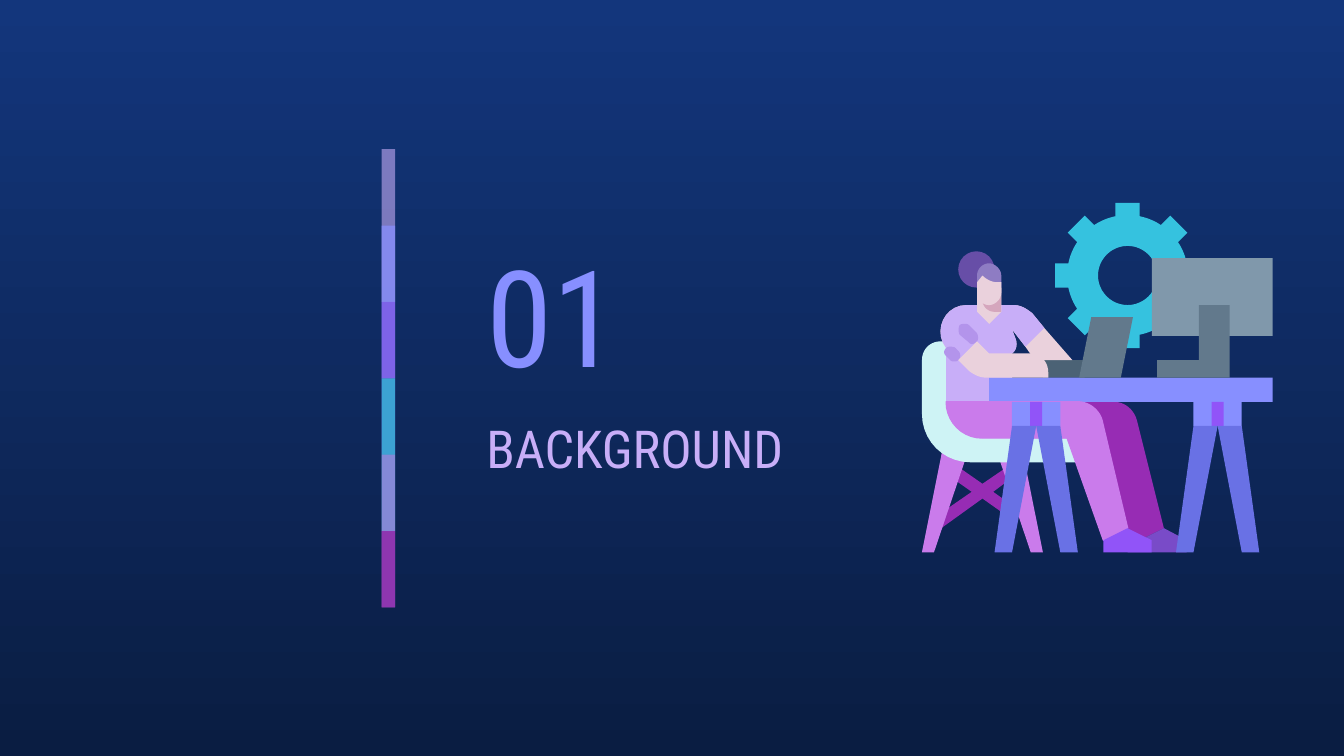
import math

from lxml import etree
from pptx import Presentation
from pptx import util as u
from pptx.dml.color import RGBColor
from pptx.enum import shapes, text
from pptx.oxml.ns import qn

FONT = "Roboto Condensed"
SKY, NIGHT = RGBColor(0x13, 0x36, 0x7C), RGBColor(0x0A, 0x1D, 0x42)
PERIWINKLE = RGBColor(0x87, 0x8F, 0xFF)
LILAC = RGBColor(0xC8, 0xAE, 0xF8)
SLEEVE = RGBColor(0xB3, 0x94, 0xEB)
VIOLET = RGBColor(0x91, 0x54, 0xF8)
INDIGO = RGBColor(0x69, 0x71, 0xE5)
TEAL = RGBColor(0x35, 0xC2, 0xDF)
ORCHID = RGBColor(0xCA, 0x7B, 0xEB)
PLUM = RGBColor(0x97, 0x2C, 0xB4)
GRAPE = RGBColor(0x79, 0x4B, 0xC8)
MINT = RGBColor(0xCE, 0xF3, 0xF5)
SKIN = RGBColor(0xEA, 0xD1, 0xDC)
SHADE = RGBColor(0xD5, 0xA6, 0xBD)
BUN, HAIR = RGBColor(0x67, 0x4E, 0xA7), RGBColor(0x8E, 0x7C, 0xC3)
DARK_STEEL = RGBColor(0x4B, 0x62, 0x75)
STEEL = RGBColor(0x62, 0x79, 0x8C)
LIGHT_STEEL = RGBColor(0x80, 0x98, 0xAB)

# Curved outlines, in inches: M move, L lines, C cubic curves
SEAT = ("M 7 2.54 C 6.92 2.54 6.86 2.6 6.86 2.68 L 6.86 3.08 C 6.86 3.28 7.02 3.44 7.22 3.44 "
        "L 8.07 3.44 8.07 3.22 7.31 3.22 C 7.19 3.22 7.09 3.12 7.09 2.99 L 7.09 2.54")
FAR_LEG = ("M 7.31 2.99 C 7.31 3.14 7.43 3.26 7.58 3.26 L 8.21 3.26 8.39 4.02 8.48 4.02 "
           "8.66 3.93 8.46 3.13 C 8.44 3.05 8.37 2.99 8.29 2.99")
NEAR_LEG = ("M 7.04 2.99 C 7.04 3.14 7.16 3.26 7.31 3.26 L 7.94 3.26 8.21 4.02 8.39 3.93 "
            "8.2 3.13 C 8.18 3.05 8.1 2.99 8.02 2.99")
TORSO = ("M 7.19 2.27 C 7.03 2.27 6.94 2.46 7.04 2.59 L 7.04 2.99 7.53 2.99 7.53 2.63 "
         "C 7.56 2.61 7.57 2.57 7.56 2.53 L 7.53 2.45 7.63 2.58")
SHOULDER = "L 7.77 2.44 7.68 2.33 C 7.64 2.3 7.6 2.27 7.54 2.27"
CUFF = ("M 7.07 2.58 C 7.06 2.58 7.05 2.58 7.04 2.59 C 7.02 2.61 7.02 2.63 7.04 2.65 L 7.07 2.68 "
        "C 7.08 2.69 7.09 2.69 7.1 2.69 C 7.11 2.69 7.12 2.69 7.13 2.68 "
        "C 7.15 2.66 7.15 2.63 7.13 2.61 L 7.11 2.59 C 7.1 2.58 7.08 2.58 7.07 2.58")
FOLD = ("M 7.18 2.41 C 7.17 2.41 7.15 2.41 7.14 2.42 C 7.13 2.44 7.13 2.47 7.14 2.49 L 7.2 2.54 "
        "C 7.21 2.55 7.22 2.56 7.23 2.56 C 7.25 2.56 7.26 2.55 7.27 2.54 "
        "C 7.28 2.53 7.28 2.5 7.27 2.48 L 7.21 2.42 C 7.2 2.41 7.19 2.41 7.18 2.41")
FOREARM = ("M 7.27 2.54 L 7.13 2.68 7.21 2.76 C 7.25 2.79 7.29 2.81 7.34 2.81 L 7.8 2.81 7.8 2.77 "
           "C 7.8 2.69 7.74 2.63 7.67 2.63 L 7.36 2.63")
CHIN = "M 7.31 2.14 L 7.31 2.23 C 7.31 2.28 7.35 2.32 7.4 2.32 L 7.45 2.32 7.45 2.14"
FRINGE = ("M 7.36 1.96 C 7.31 1.96 7.27 2 7.27 2.05 L 7.27 2.14 7.45 2.14 7.45 2.05 "
          "C 7.45 2 7.4 1.96 7.36 1.96")
FACE = ("M 7.31 2.05 L 7.27 2.1 7.27 2.18 C 7.27 2.23 7.31 2.27 7.36 2.27 "
        "C 7.4 2.27 7.45 2.23 7.45 2.18 L 7.45 2.1 7.42 2.1 C 7.38 2.1 7.34 2.08 7.31 2.05")


def trace(outline, steps=10):
    """Turn an outline string into points, sampling its curves."""
    points = []
    for part in outline.replace("M", "|M").replace("L", "|L").replace("C", "|C").split("|")[1:]:
        numbers = [float(n) for n in part[1:].split()]
        corners = list(zip(numbers[::2], numbers[1::2]))
        if part[0] == "C":
            a, (b, c, d) = points[-1], corners
            for t in (i / steps for i in range(1, steps + 1)):
                s = 1 - t
                points.append(tuple(s**3 * a[k] + 3 * s * s * t * b[k] + 3 * s * t * t * c[k]
                                    + t**3 * d[k] for k in (0, 1)))
        else:
            points += corners
    return points


def paint(shape, color, opacity=None):
    shape.shadow.inherit = False
    shape.fill.solid()
    shape.fill.fore_color.rgb = color
    shape.line.fill.background()
    if opacity:
        tint = shape.element.xpath(".//a:solidFill/a:srgbClr")[0]
        etree.SubElement(tint, qn("a:alpha")).set("val", str(opacity * 1000))
    return shape


def add_outline(group, color, *loops):
    loops = [[(u.Inches(x), u.Inches(y)) for x, y in loop] for loop in loops]
    builder = group.shapes.build_freeform(*loops[0][0])
    for i, loop in enumerate(loops):
        if i:
            builder.move_to(*loop[0])
        builder.add_line_segments(loop[1:], close=True)
    return paint(builder.convert_to_shape(), color)


def add_preset(group, color, left, top, width, height, opacity=None,
               kind=shapes.MSO_SHAPE.RECTANGLE):
    box = [u.Inches(n) for n in (left, top, width, height)]
    return paint(group.shapes.add_shape(kind, *box), color, opacity)


def add_heading(slide, words, box, size, color, anchor):
    frame = slide.shapes.add_textbox(*[u.Inches(n) for n in box]).text_frame
    margins = {f"margin_{side}": u.Inches(0.1) for side in ("left", "top", "right", "bottom")}
    for name, value in {"word_wrap": True, "vertical_anchor": anchor, **margins}.items():
        setattr(frame, name, value)
    run = frame.paragraphs[0].add_run()
    run.text = words
    for name, value in {"name": FONT, "size": u.Pt(size)}.items():
        setattr(run.font, name, value)
    run.font.color.rgb = color


def add_gear(group, x, y, teeth=8):
    def turn(radius, angle):
        return x + radius * math.sin(angle), y - radius * math.cos(angle)

    pitch, half = 2 * math.pi / teeth, 0.09
    root, tip = math.asin(half / 0.45), math.atan(half / 0.54)
    reach = math.hypot(half, 0.54)
    rim = []
    for tooth in (i * pitch for i in range(teeth)):
        rim += [turn(0.45, tooth - root), turn(reach, tooth - tip), turn(reach, tooth + tip)]
        rim += [turn(0.45, tooth + root + (pitch - 2 * root) * i / 6) for i in range(6)]
    hole = [turn(0.22, -2 * math.pi * i / 48) for i in range(48)]
    add_outline(group, TEAL, rim, hole)


def add_leg_pair(group, color, center, half_leg):
    for side in (1, -1):
        add_outline(group, color, [(center + side * x, y) for x, y in half_leg])


def add_trestle(group, center):
    for color, width in ((PERIWINKLE, 0.36), (VIOLET, 0.09)):
        add_preset(group, color, center - width / 2, 2.99, width, 0.18)
    add_leg_pair(group, INDIGO, center, [(0, 3.17), (0.18, 4.11), (0.31, 4.11), (0.18, 3.17)])


def add_worker_scene(slide):
    scene = slide.shapes.add_group_shape()
    add_gear(scene, 8.39, 2.05)
    add_preset(scene, DARK_STEEL, 7.76, 2.68, 0.31, 0.13)
    # Chair
    add_outline(scene, PLUM, trace(
        "M 7.11 3.46 L 7.06 3.54 7.23 3.66 6.94 3.86 6.99 3.94 7.31 3.71 7.48 3.83 "
        "7.53 3.76 7.39 3.66 7.55 3.54 7.5 3.47 7.31 3.6"))
    add_leg_pair(scene, ORCHID, 7.31, [(0.09, 3.31), (0.36, 4.11), (0.45, 4.11), (0.29, 3.31)])
    add_outline(scene, MINT, trace(SEAT))
    # Far leg and upper body
    add_outline(scene, PLUM, trace(FAR_LEG))
    add_outline(scene, GRAPE, trace("M 8.66 3.93 L 8.48 4.02 8.39 4.02 8.39 4.11 8.83 4.11 8.83 4.02"))
    add_outline(scene, SKIN, trace(f"{TORSO} L 7.7 2.68 7.98 2.68 {SHOULDER}"))
    add_outline(scene, LILAC, trace(f"{TORSO} {SHOULDER}"))
    # Desk top, then the near arm and laptop
    add_preset(scene, PERIWINKLE, 7.36, 2.81, 2.11, 0.18)
    for fold in (CUFF, FOLD):
        add_outline(scene, SLEEVE, trace(fold))
    add_outline(scene, SKIN, trace("M 7.27 2.14 L 7.27 2.32 7.36 2.41 7.45 2.32 7.45 2.14"))
    add_outline(scene, SKIN, trace(FOREARM))
    add_outline(scene, STEEL, trace("M 8.12 2.36 L 8.03 2.81 8.34 2.81 8.43 2.36"))
    # Near leg
    trousers = add_outline(scene, ORCHID, trace(NEAR_LEG))
    trousers.line.color.rgb = ORCHID
    trousers.line.width = u.Pt(0.75)
    add_outline(scene, VIOLET, trace("M 8.39 3.93 L 8.21 4.02 8.21 4.11 8.57 4.11 8.57 4.02"))
    # Monitor and desk trestles
    add_preset(scene, LIGHT_STEEL, 8.57, 1.92, 0.9, 0.58)
    add_outline(scene, STEEL, trace("M 8.92 2.27 L 8.92 2.68 8.61 2.68 8.61 2.81 9.15 2.81 9.15 2.27"))
    for center in (9.06, 7.71):
        add_trestle(scene, center)
    # Head
    add_outline(scene, SHADE, trace(CHIN))
    add_preset(scene, BUN, 7.13, 1.87, 0.27, 0.27, kind=shapes.MSO_SHAPE.OVAL)
    add_outline(scene, HAIR, trace(FRINGE))
    add_outline(scene, SKIN, trace(FACE))


def add_color_bar(slide):
    bar = slide.shapes.add_group_shape()
    bands = [(LILAC, 59), (PERIWINKLE, 74), (VIOLET, 53), (TEAL, 76), (ORCHID, 56), (PLUM, 74)]
    start, end = 1.11, 4.52
    step = (end - start) / len(bands)
    # Each band reaches under the next one
    for i, (color, opacity) in enumerate(bands):
        top = start + i * step
        add_preset(bar, color, 2.84, top, 0.1, min(2 * step, end - top), opacity)


def add_background(slide):
    fill = slide.background.fill
    fill.gradient()
    fill.gradient_angle = 270
    for stop, color in zip(fill.gradient_stops, (SKY, NIGHT)):
        stop.color.rgb = color


def main():
    deck = Presentation()
    deck.slide_width = u.Inches(10)
    deck.slide_height = deck.slide_width * 9 // 16
    slide = deck.slides.add_slide(deck.slide_layouts[6])
    add_background(slide)
    add_heading(slide, "01", (3.52, 1.66, 1.75, 1.35), 72, PERIWINKLE, text.MSO_ANCHOR.MIDDLE)
    add_heading(slide, "BACKGROUND", (3.52, 3, 2.87, 0.96), 28, LILAC, text.MSO_ANCHOR.TOP)
    add_worker_scene(slide)
    add_color_bar(slide)
    deck.save("out.pptx")


if __name__ == "__main__":
    main()
